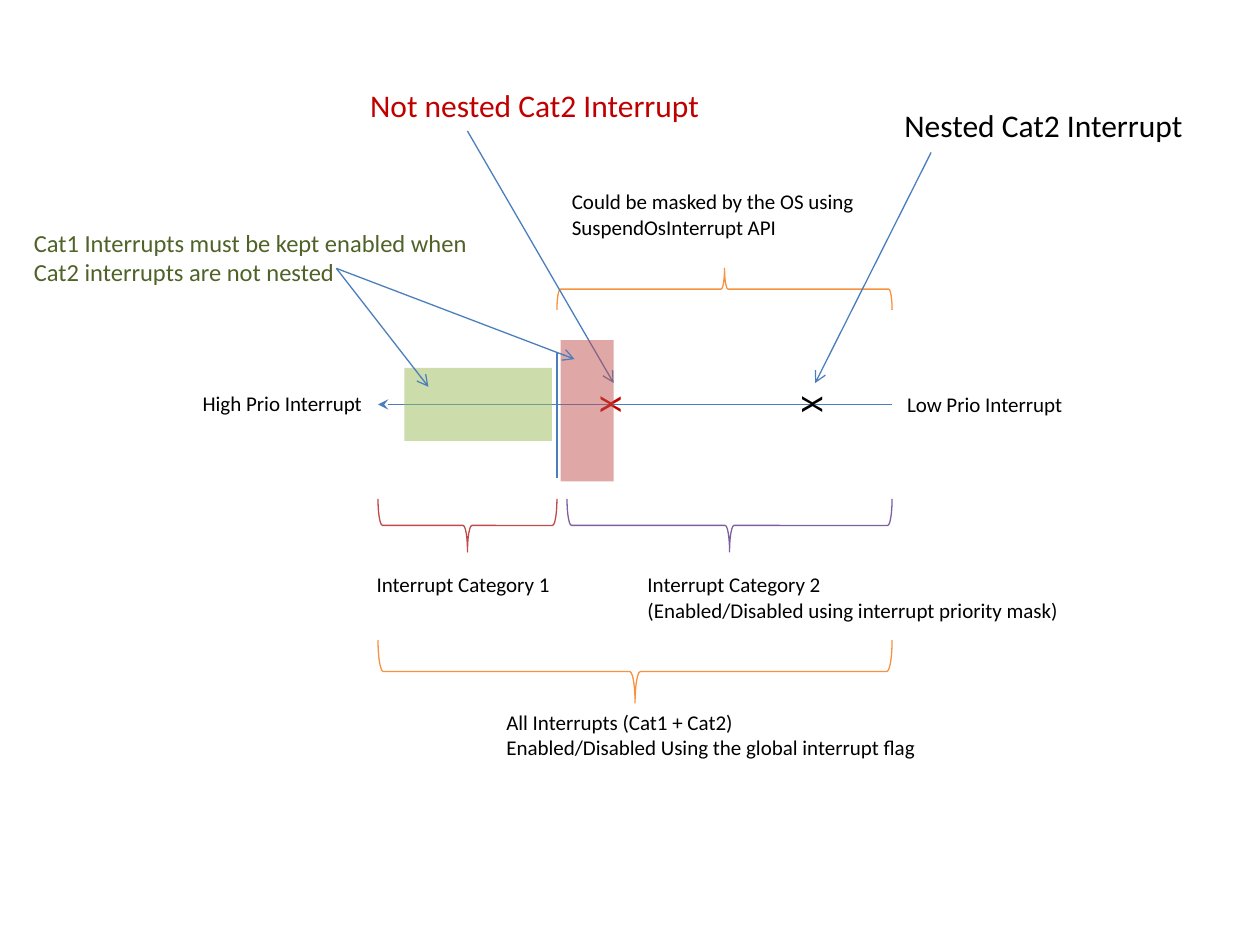
"""Build a slide on nested and not nested interrupts."""
from dataclasses import dataclass

from lxml.etree import SubElement
from pptx import Presentation
from pptx.dml.color import RGBColor
from pptx.enum.shapes import MSO_CONNECTOR, MSO_SHAPE
from pptx.enum.text import MSO_AUTO_SIZE
from pptx.oxml.ns import qn
from pptx.util import Inches, Pt


@dataclass(frozen=True)
class Theme:
    """Hold the font, type sizes and colours."""
    font: str = "Calibri"
    small: int = 12
    note: int = 14
    large: int = 18
    thin: float = 0.75
    black: str = "000000"
    red: str = "C00000"
    olive: str = "4F6228"
    blue: str = "4B7EBC"
    brick: str = "BF4C48"
    plum: str = "7D60A0"
    orange: str = "F69240"
    green: str = "9BBB59"
    rose: str = "C0504D"


THEME = Theme()


def color(code):
    """Return the colour of a hex code."""
    return RGBColor.from_string(code)


def label(slide, text, box, size=THEME.small, tint=THEME.black, wrap=False, turn=0):
    """Add a text box in one format."""
    shape = slide.shapes.add_textbox(*map(Inches, box))
    shape.rotation = turn
    frame = shape.text_frame
    frame.word_wrap = wrap
    frame.auto_size = MSO_AUTO_SIZE.SHAPE_TO_FIT_TEXT
    para = frame.paragraphs[0]
    para.text = text
    for run in para.runs:
        run.font.name = THEME.font
        run.font.size = Pt(size)
        run.font.color.rgb = color(tint)
    return shape


def line(slide, start, end, head=None, tail=None, goal=None):
    """Add a thin straight line, joined to the upper side of a turned goal."""
    points = map(Inches, (*start, *end))
    link = slide.shapes.add_connector(MSO_CONNECTOR.STRAIGHT, *points)
    if goal is not None:
        link.end_connect(goal, 1)
        link.end_x, link.end_y = map(Inches, end)
    link.line.color.rgb = color(THEME.blue)
    link.line.width = Pt(THEME.thin)
    props = link.element.spPr
    for tag, kind in (("a:headEnd", head), ("a:tailEnd", tail)):
        if kind:
            SubElement(props.find(qn("a:ln")), qn(tag), type=kind)
    SubElement(props, qn("a:effectLst"))


def brace(slide, left, right, top, depth, tint, kind=MSO_SHAPE.RIGHT_BRACE):
    """Add a brace lying across a span of the priority axis."""
    span = right - left
    box = ((left + right - depth) / 2, top + (depth - span) / 2, depth, span)
    shape = slide.shapes.add_shape(kind, *map(Inches, box))
    shape.rotation = 90
    shape.shadow.inherit = False
    shape.fill.background()
    shape.line.color.rgb = color(tint)
    shape.line.width = Pt(THEME.thin)


def zone(slide, box, tint, turn=0):
    """Add a half transparent block without an outline."""
    shape = slide.shapes.add_shape(MSO_SHAPE.RECTANGLE, *map(Inches, box))
    shape.rotation = turn
    shape.shadow.inherit = False
    shape.fill.solid()
    shape.fill.fore_color.rgb = color(tint)
    shape.line.fill.background()
    code = shape.element.spPr.find(qn("a:solidFill")).find(qn("a:srgbClr"))
    SubElement(code, qn("a:alpha"), val="50000")


def axis(slide):
    """Add the priority axis, its end labels and the category divider."""
    high, split, low, level = 3, 4.42, 7.08, 3.21
    line(slide, (high, level), (low, level), head="stealth")
    label(slide, "High Prio Interrupt", (1.51, 3.05, 1.48, 0.3))
    label(slide, "Low Prio Interrupt", (7.1, 3.06, 1.45, 0.3))
    line(slide, (split, 2.79), (split, 3.79))
    brace(slide, high, split, 3.96, 0.42, THEME.brick)
    brace(slide, 4.5, low, 3.96, 0.42, THEME.plum)
    brace(slide, high, low, 5.08, 0.5, THEME.orange)
    brace(slide, split, low, 2.13, 0.33, THEME.orange, MSO_SHAPE.LEFT_BRACE)


def notes(slide):
    """Add the captions of the braces."""
    label(slide, "Interrupt Category 1", (2.89, 4.49, 1.59, 0.3))
    label(slide, "Interrupt Category 2\n(Enabled/Disabled using interrupt priority mask)",
          (5.04, 4.49, 3.49, 0.5))
    label(slide, "All Interrupts (Cat1 + Cat2)\nEnabled/Disabled Using the global interrupt flag",
          (3.92, 5.58, 3.5, 0.5), wrap=True)
    label(slide, "Could be masked by the OS using\nSuspendOsInterrupt API",
          (4.44, 1.45, 2.5, 0.5))


def event(slide, text, box, start, left, tint):
    """Add a named interrupt, its cross on the axis and the arrow between."""
    mark = label(slide, "X", (left, 3.01, 0.33, 0.4), THEME.large, tint, turn=90)
    line(slide, start, (left + 0.17, 3.04), tail="arrow", goal=mark)
    label(slide, text, box, THEME.large, tint)


def rule(slide):
    """Add the enabled zones and the rule that points at them."""
    start = (2.67, 2.13)
    zone(slide, (3.21, 2.92, 1.17, 0.58), THEME.green)
    line(slide, start, (3.4, 3.07), tail="arrow")
    label(slide, "Cat1 Interrupts must be kept enabled when Cat2 interrupts are not nested",
          (0.17, 1.76, 3.7, 0.57), THEME.note, THEME.olive, wrap=True)
    zone(slide, (4.1, 3.05, 1.12, 0.42), THEME.rose, turn=270)
    line(slide, start, (4.56, 2.85), tail="arrow")


def main():
    """Build and save the slide."""
    deck = Presentation()
    deck.slide_width, deck.slide_height = Inches(10), Inches(7.5)
    slide = deck.slides.add_slide(deck.slide_layouts.get_by_name("Blank"))
    axis(slide)
    notes(slide)
    event(slide, "Nested Cat2 Interrupt", (7.08, 0.79, 2.44, 0.4),
          (7.39, 1.21), 6.3, THEME.black)
    event(slide, "Not nested Cat2 Interrupt", (2.84, 0.63, 2.87, 0.4),
          (3.71, 1.04), 4.7, THEME.red)
    rule(slide)
    deck.save("out.pptx")


if __name__ == "__main__":
    main()
